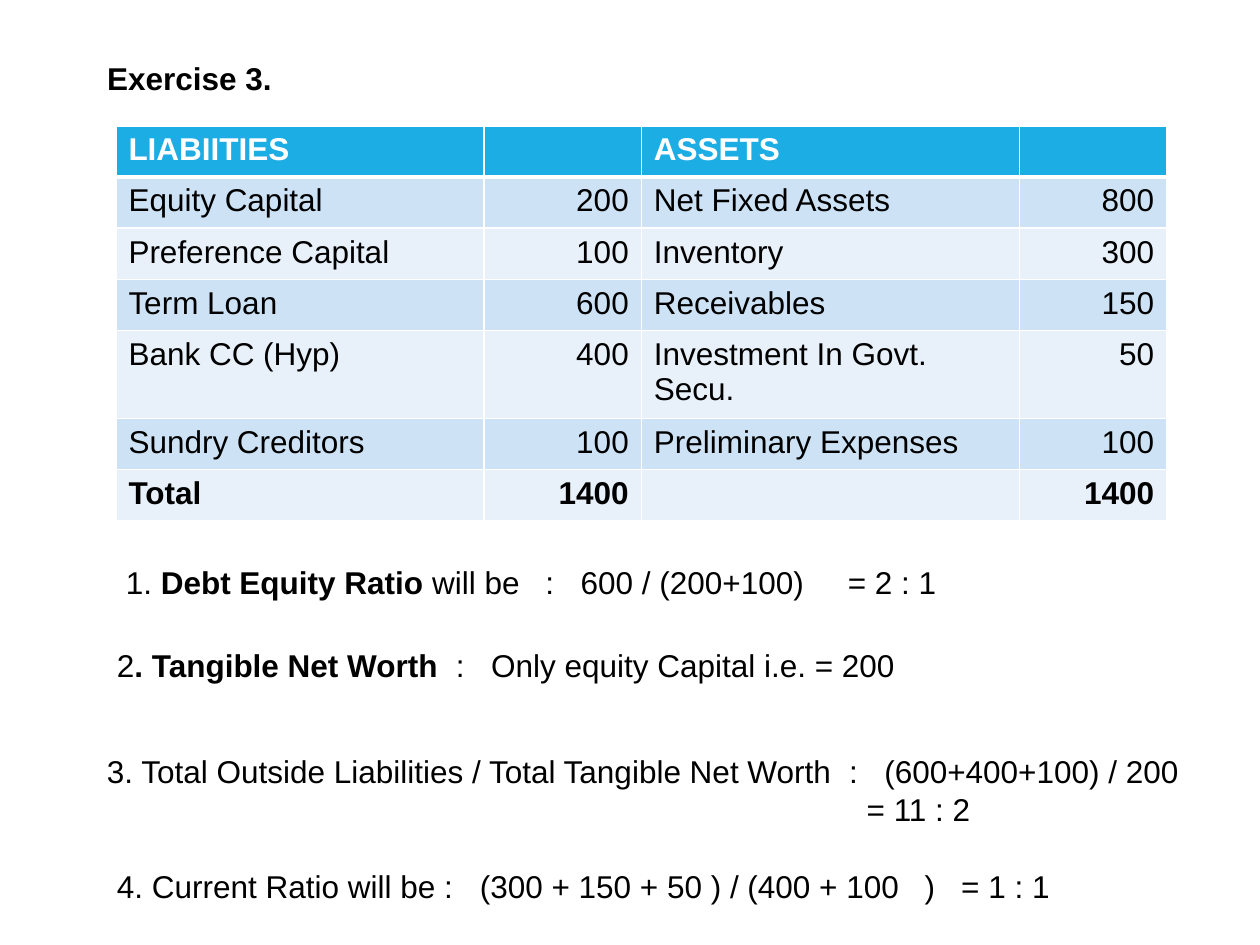
from lxml import etree
from pptx import Presentation
from pptx.dml.color import RGBColor
from pptx.enum import text
from pptx.oxml.ns import qn
from pptx.util import Inches, Pt

BLACK = RGBColor(0x00, 0x00, 0x00)
WHITE = RGBColor(0xFF, 0xFF, 0xFF)
HEADER_BLUE = RGBColor(0x1C, 0xAD, 0xE4)
BAND_DARK = RGBColor(0xCD, 0xE3, 0xF5)
BAND_LIGHT = RGBColor(0xE8, 0xF1, 0xFA)


def add_run(paragraph, words, bold=False, color=BLACK):
    run = paragraph.add_run()
    run.text = words
    for name, value in {"name": "Arial", "size": Pt(18), "bold": bold}.items():
        setattr(run.font, name, value)
    run.font.color.rgb = color


def set_border(cell, side, width):
    line = etree.SubElement(cell._tc.get_or_add_tcPr(), qn("a:" + side), w=str(Pt(width)))
    fill = etree.SubElement(line, qn("a:solidFill"))
    etree.SubElement(fill, qn("a:srgbClr"), val=str(WHITE))


presentation = Presentation()
presentation.slide_width, presentation.slide_height = Inches(10), Inches(7.5)
slide = presentation.slides.add_slide(presentation.slide_layouts[5])

# Title
title = slide.shapes.title
title_box = {"left": 0.75, "top": 0.42, "width": 8.5, "height": 0.4}
for name, value in title_box.items():
    setattr(title, name, Inches(value))
frame = title.text_frame
frame.auto_size = text.MSO_AUTO_SIZE.SHAPE_TO_FIT_TEXT
frame.vertical_anchor = text.MSO_ANCHOR.TOP
frame.paragraphs[0].alignment = text.PP_ALIGN.LEFT
add_run(frame.paragraphs[0], "Exercise 3.", bold=True)

# Balance sheet
balance_sheet = [
    ("LIABIITIES", "", "ASSETS", ""),
    ("Equity Capital", "200", "Net Fixed Assets", "800"),
    ("Preference Capital", "100", "Inventory", "300"),
    ("Term Loan", "600", "Receivables", "150"),
    ("Bank CC (Hyp)", "400", "Investment In Govt. Secu.", "50"),
    ("Sundry Creditors", "100", "Preliminary Expenses", "100"),
    ("Total", "1400", "", "1400"),
]
column_widths = [2.92, 1.25, 3, 1.17]
last_row = len(balance_sheet) - 1
table = slide.shapes.add_table(
    len(balance_sheet), len(column_widths),
    Inches(0.92), Inches(1), Inches(8.33), Inches(2.84)).table
for column, width in zip(table.columns, column_widths):
    column.width = Inches(width)

for r, row in enumerate(balance_sheet):
    for c, words in enumerate(row):
        cell = table.cell(r, c)
        for side in ("lnL", "lnR", "lnT", "lnB"):
            header_rule = (r, side) in ((0, "lnB"), (1, "lnT"))
            set_border(cell, side, 3 if header_rule else 1)
        cell.fill.solid()
        cell.fill.fore_color.rgb = HEADER_BLUE if r == 0 else (BAND_LIGHT, BAND_DARK)[r % 2]
        paragraph = cell.text_frame.paragraphs[0]
        paragraph.font.size = Pt(18)
        if c % 2:
            paragraph.alignment = text.PP_ALIGN.RIGHT
        if words:
            add_run(paragraph, words, r in (0, last_row), WHITE if r == 0 else BLACK)

# Ratios: box, then paragraphs of (left indent, tab stops, runs of words and bold)
ratios = [
    ((0.9, 4.42, 8.68, 0.42), [
        (0, [3.33, 3.61, 5.73], [
            ("1. ", False), ("Debt Equity Ratio ", True),
            ("will be\t:\t600 / (200+100)\t= 2 : 1", False)])]),
    ((0.83, 5.08, 8.42, 0.42), [
        (0, [2.69, 2.97], [
            ("2", False), (". Tangible Net Worth", True),
            ("\t:\tOnly equity Capital i.e. = 200", False)])]),
    ((0.75, 5.92, 8.75, 0.71), [
        (0, [5.89, 6.17], [
            ("3. Total Outside Liabilities / Total Tangible Net Worth"
             "\t:\t(600+400+100) / 200", False)]),
        (6.03, [], [("= 11 : 2", False)])]),
    ((0.83, 6.83, 8.92, 0.42), [
        (0, [2.88, 6.41, 6.7], [
            ("4. Current Ratio will be :\t(300 + 150 + 50 ) / (400 + 100\t)\t= 1 : 1", False)])]),
]
for box, paragraphs in ratios:
    frame = slide.shapes.add_textbox(*map(Inches, box)).text_frame
    frame.word_wrap = True
    frame.auto_size = text.MSO_AUTO_SIZE.SHAPE_TO_FIT_TEXT
    for i, (indent, tab_stops, runs) in enumerate(paragraphs):
        paragraph = frame.add_paragraph() if i else frame.paragraphs[0]
        properties = paragraph._p.get_or_add_pPr()
        properties.set("marL", str(Inches(indent)))
        if tab_stops:
            tab_list = etree.SubElement(properties, qn("a:tabLst"))
            for stop in tab_stops:
                etree.SubElement(tab_list, qn("a:tab"), pos=str(Inches(stop)), algn="l")
        for words, bold in runs:
            add_run(paragraph, words, bold)

presentation.save("out.pptx")
